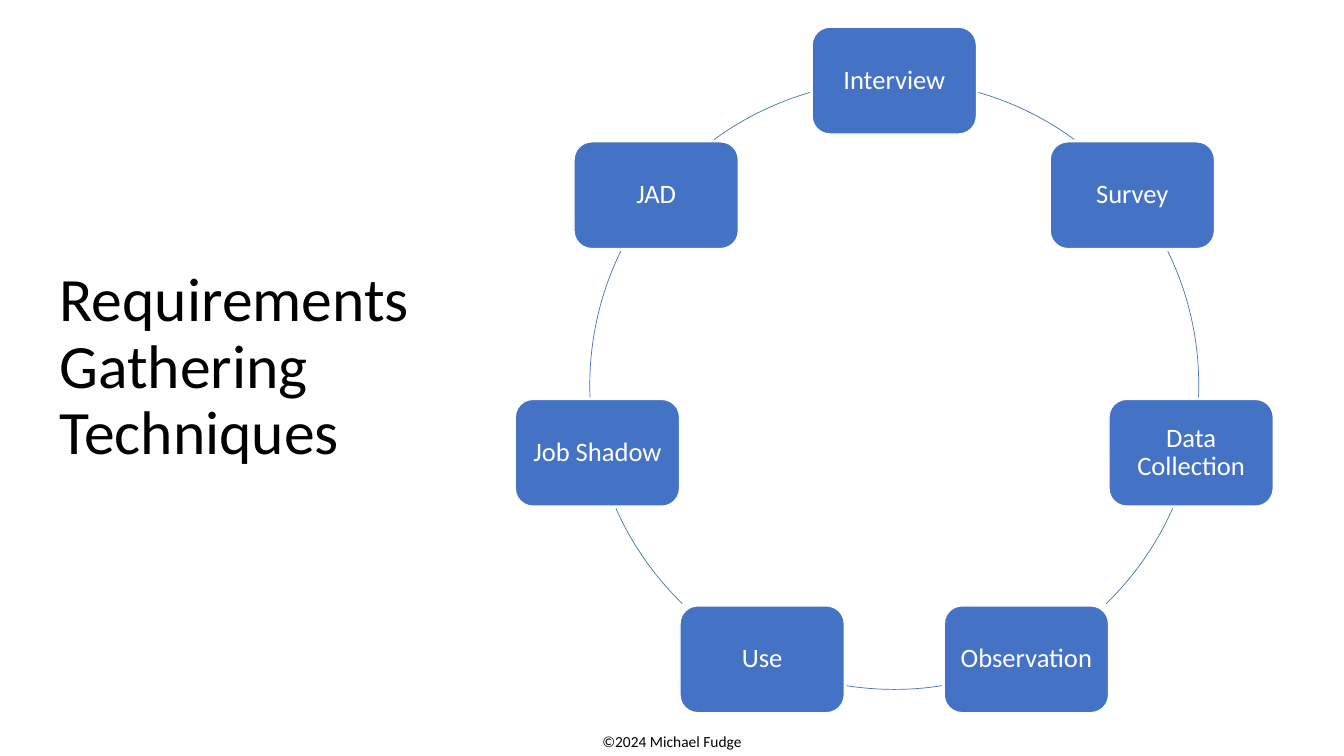
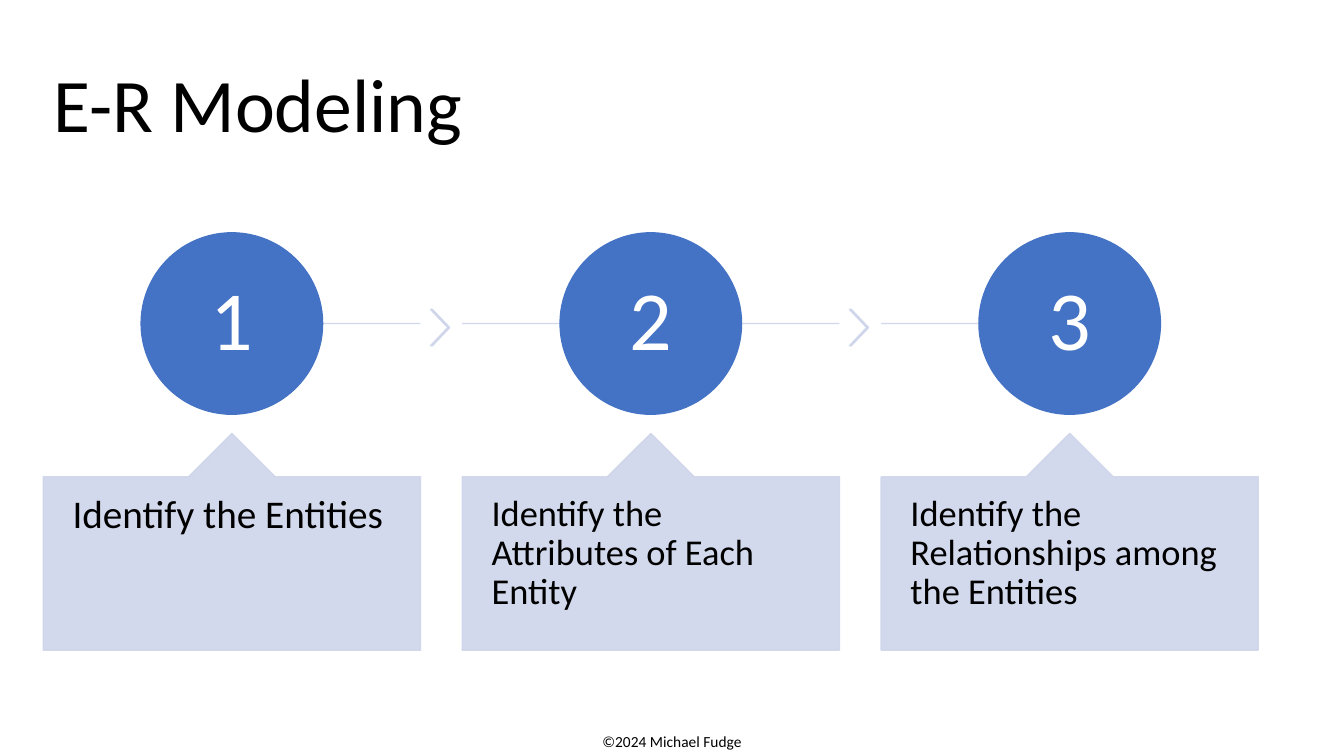
import math
import pptx
import pptx.util
import pptx.dml.color
import pptx.enum.shapes
import pptx.enum.text
import pptx.oxml
import pptx.oxml.ns
from pptx.util import Inches

SHAPE = pptx.enum.shapes.MSO_SHAPE
ALIGN = pptx.enum.text.PP_ALIGN
ANCHOR = pptx.enum.text.MSO_ANCHOR
AUTO = pptx.enum.text.MSO_AUTO_SIZE
A_NS = pptx.oxml.ns.nsdecls("a")


class Deck:
    FONT = "Calibri"
    COLORS = {"text": "000000", "white": "FFFFFF", "blue": "4472C4", "pale": "CFD5EA"}
    FOOTER = "©2024 Michael Fudge"

    def __init__(self):
        self.prs = pptx.Presentation()
        self.prs.slide_width = Inches(13.33)
        self.prs.slide_height = Inches(7.5)
        self.s = None

    def color(self, name):
        return pptx.dml.color.RGBColor.from_string(self.COLORS[name])

    def set_text(self, tf, text, size, color="text", align=ALIGN.LEFT,
                 anchor=ANCHOR.TOP, spacing=0.9):
        tf.word_wrap = True
        tf.vertical_anchor = anchor
        tf.text = text
        p = tf.paragraphs[0]
        p.alignment = align
        p.line_spacing = spacing
        for r in p.runs:
            r.font.name = self.FONT
            r.font.size = pptx.util.Pt(size)
            r.font.color.rgb = self.color(color)

    def slide(self, title, box, size):
        self.s = self.prs.slides.add_slide(self.prs.slide_layouts[5])
        footer = self.s.shapes.add_textbox(*map(Inches, (5.67, 7.21, 1.99, 0.29)))
        self.set_text(footer.text_frame, self.FOOTER, 11, align=ALIGN.CENTER, spacing=1)
        footer.text_frame.auto_size = AUTO.SHAPE_TO_FIT_TEXT
        sp = self.s.shapes.title
        sp.left, sp.top, sp.width, sp.height = map(Inches, box)
        self.set_text(sp.text_frame, title, size, anchor=ANCHOR.MIDDLE)
        sp.text_frame.auto_size = AUTO.NONE

    def fade(self, sp):
        for clr in sp.element.spPr.iter(pptx.oxml.ns.qn("a:srgbClr")):
            clr.append(pptx.oxml.parse_xml(f'<a:alpha {A_NS} val="90000"/>'))

    def shape(self, kind, box, fill, line, weight=1, adjust=()):
        sp = self.s.shapes.add_shape(kind, *map(Inches, box))
        sp.shadow.inherit = False
        if fill:
            sp.fill.solid()
            sp.fill.fore_color.rgb = self.color(fill)
        else:
            sp.fill.background()
        sp.line.color.rgb = self.color(line)
        sp.line.width = pptx.util.Pt(weight)
        for i, value in enumerate(adjust):
            sp.adjustments[i] = value
        if "pale" in (fill, line):
            self.fade(sp)
        return sp

    def label(self, sp, text, size, color="white", inset=(0.08, 0.08),
              align=ALIGN.CENTER, anchor=ANCHOR.MIDDLE):
        tf = sp.text_frame
        tf.margin_left = tf.margin_right = Inches(inset[0])
        tf.margin_top = tf.margin_bottom = Inches(inset[1])
        self.set_text(tf, text, size, color, align, anchor)

    def line(self, x1, x2, y):
        cx = self.s.shapes.add_connector(pptx.enum.shapes.MSO_CONNECTOR.STRAIGHT,
                                         *map(Inches, (x1, y, x2, y)))
        cx.line.color.rgb = self.color("pale")
        cx.line.width = pptx.util.Pt(1)
        self.fade(cx)
        cx.element.spPr.append(pptx.oxml.parse_xml(f"<a:effectLst {A_NS}/>"))


def techniques(deck):
    deck.slide("Requirements Gathering Techniques", (0.49, 0.61, 3.76, 6.09), 44)
    names = ["Interview", "Survey", "Data Collection", "Observation", "Use",
             "Job Shadow", "JAD"]
    cx, cy, radius = 8.87, 3.82, 3.02
    w, h, gap = 1.63, 1.06, 0.02
    step = 360 / len(names)

    def point(angle):
        a = math.radians(angle)
        return cx + radius * math.cos(a), cy + radius * math.sin(a)

    def outside(angle, center):
        x, y = point(angle)
        return abs(x - center[0]) > w / 2 + gap or abs(y - center[1]) > h / 2 + gap

    for i, name in enumerate(names):
        start = i * step - 90
        here, following = point(start), point(start + step)
        free = [a for a in (start + k * step / 400 for k in range(401))
                if outside(a, here) and outside(a, following)]
        deck.shape(SHAPE.ARC, (cx - radius, cy - radius, 2 * radius, 2 * radius),
                   None, "blue", 0.5, [a % 360 * 0.6 for a in (free[0], free[-1])])
        sp = deck.shape(SHAPE.ROUNDED_RECTANGLE,
                        (here[0] - w / 2, here[1] - h / 2, w, h), "blue", "white")
        deck.label(sp, name, 19)


def modeling(deck):
    deck.slide("E-R Modeling", (0.43, 0.35, 12.48, 1.45), 54)
    steps = [("Identify the Entities", 28),
             ("Identify the Attributes of Each Entity", 26),
             ("Identify the Relationships among the Entities", 26)]
    left, right, w = 0.43, 8.74, 3.74
    axis, d = 3.21, 1.8
    last = len(steps) - 1
    pitch = (right - left) / last
    for i, (text, size) in enumerate(steps):
        x = left + i * pitch
        mid = x + w / 2
        deck.line(x if i > 0 else mid, x + w if i < last else mid, axis)
        if i < last:
            deck.shape(SHAPE.CHEVRON, (x + w + 0.1, 3.07, 0.19, 0.36), "pale", "pale",
                       adjust=[0.9])
        sp = deck.shape(SHAPE.OVAL, (mid - d / 2, axis - d / 2, d, d), "blue", "blue")
        deck.label(sp, str(i + 1), 60, inset=(0.07, 0.07))
        sp = deck.shape(SHAPE.UP_ARROW_CALLOUT, (x, 4.3, w, 2.15), "pale", "pale",
                        adjust=[0.4, 0.2, 0.2, 0.8])
        deck.label(sp, text, size, "text", (0.29, 0.18), ALIGN.LEFT, ANCHOR.TOP)


def main():
    deck = Deck()
    techniques(deck)
    modeling(deck)
    deck.prs.save("out.pptx")


if __name__ == "__main__":
    main()
